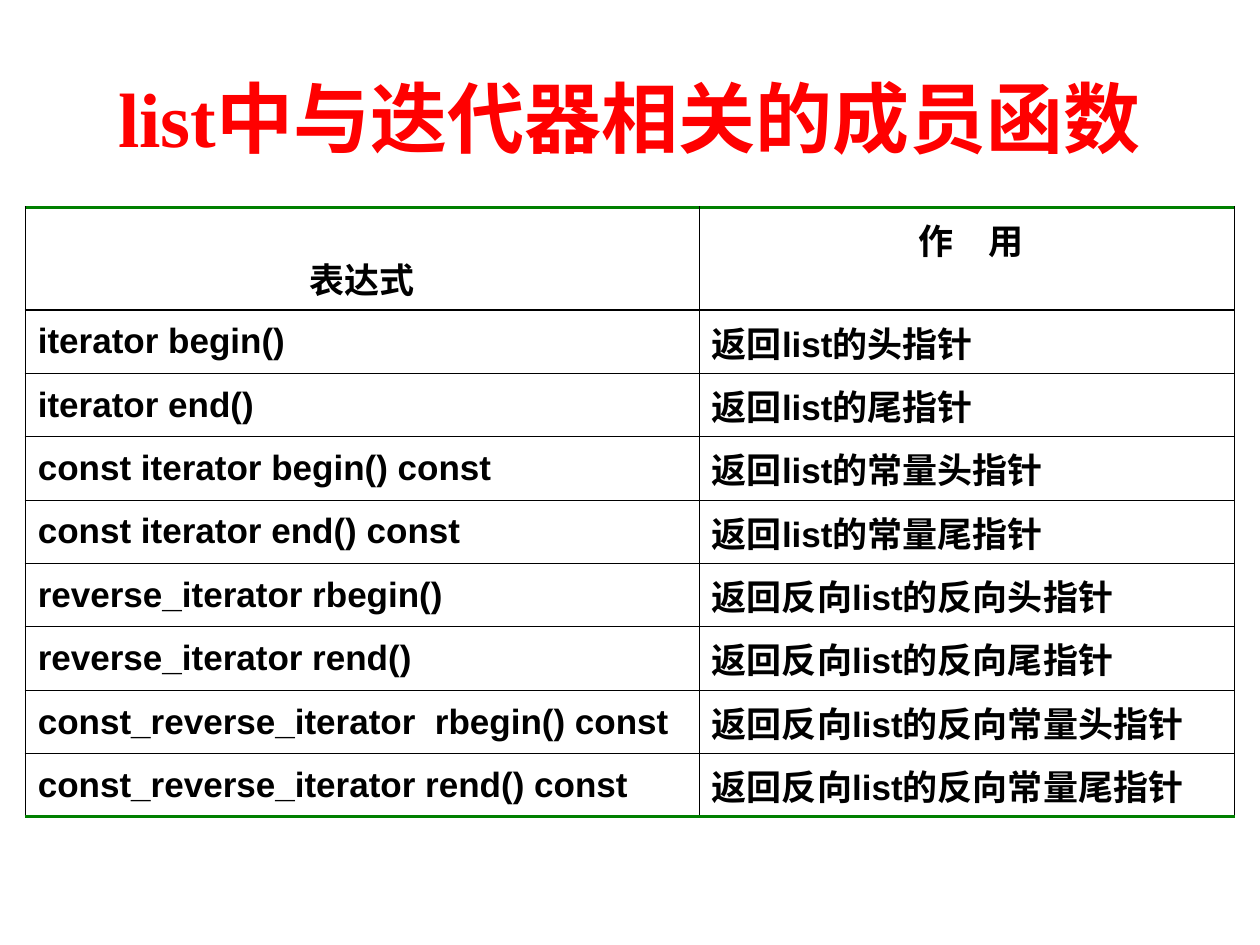
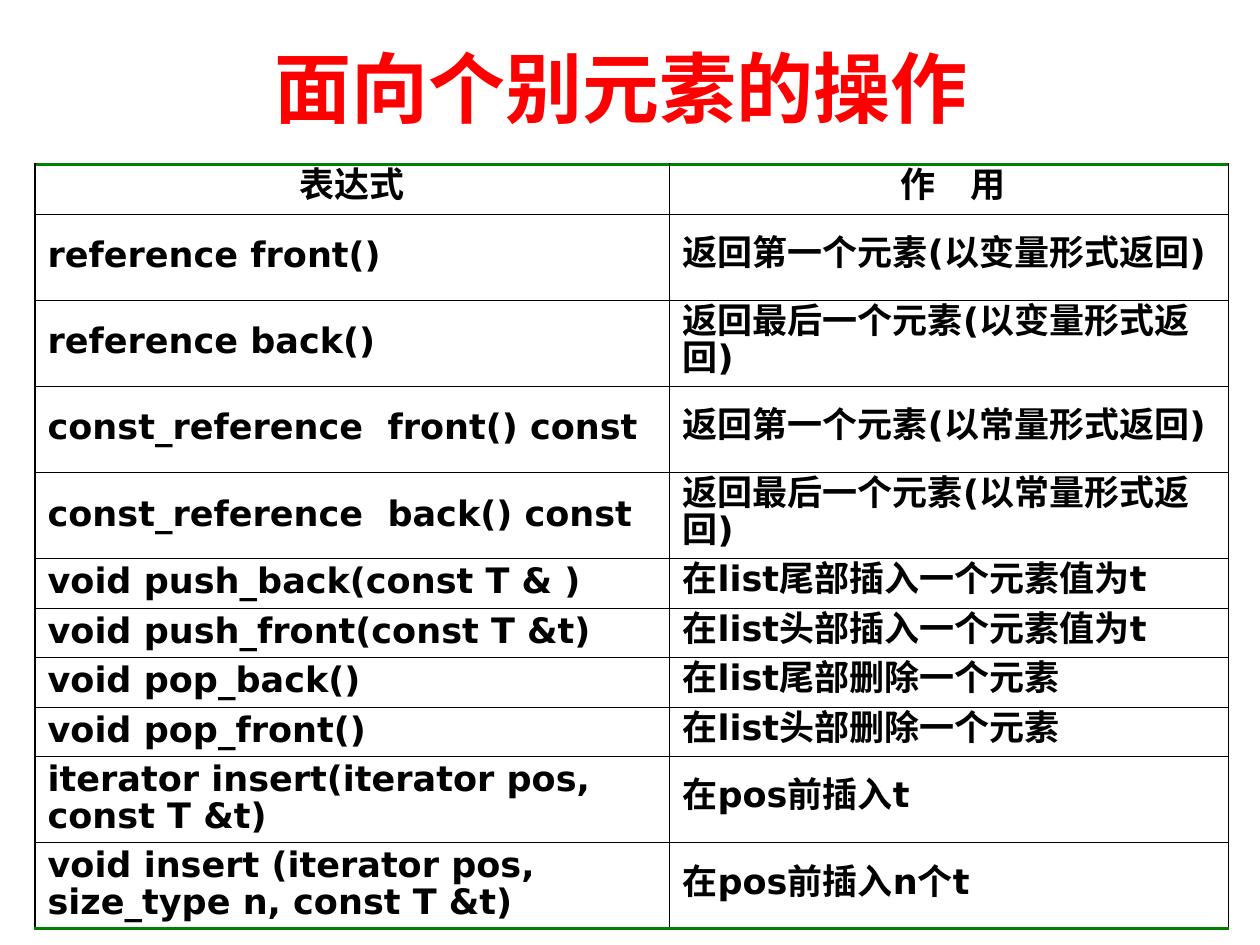
from lxml import etree
from pptx import Presentation
from pptx.dml.color import RGBColor
from pptx.enum.text import MSO_ANCHOR, PP_ALIGN
from pptx.oxml.ns import qn
from pptx.util import Pt

CENTER, LEFT = PP_ALIGN.CENTER, PP_ALIGN.LEFT
TOP, MIDDLE, BOTTOM = MSO_ANCHOR.TOP, MSO_ANCHOR.MIDDLE, MSO_ANCHOR.BOTTOM
BLACK, WHITE, RED, GREEN = "000000", "FFFFFF", "FF0000", "008000"
HEADER = ("表达式", " 作　用")
LINE_PITCH = 21
CELL_PADDING = 7.2

ITERATOR_ROWS = [
    ("iterator begin()", "返回list的头指针"),
    ("iterator end()", "返回list的尾指针"),
    ("const iterator begin() const", "返回list的常量头指针"),
    ("const iterator end() const", "返回list的常量尾指针"),
    ("reverse_iterator rbegin()", "返回反向list的反向头指针"),
    ("reverse_iterator rend()", "返回反向list的反向尾指针"),
    ("const_reverse_iterator  rbegin() const", "返回反向list的反向常量头指针"),
    ("const_reverse_iterator rend() const", "返回反向list的反向常量尾指针"),
]
ELEMENT_ROWS = [
    ("reference front()", "返回第一个元素(以变量形式返回)"),
    ("reference back()", "返回最后一个元素(以变量形式返回)"),
    ("const_reference  front() const", "返回第一个元素(以常量形式返回)"),
    ("const_reference  back() const", "返回最后一个元素(以常量形式返回)"),
    ("void push_back(const T & )", "在list尾部插入一个元素值为t"),
    ("void push_front(const T &t)", "在list头部插入一个元素值为t"),
    ("void pop_back()", "在list尾部删除一个元素"),
    ("void pop_front()", "在list头部删除一个元素"),
    ("iterator insert(iterator pos, const T &t)", "在pos前插入t"),
    ("void insert (iterator pos, size_type n, const T &t)", "在pos前插入n个t"),
]
ELEMENT_LINES = [1] + [2] * 4 + [1] * 4 + [2] * 2


def rgb(value):
    return RGBColor.from_string(value)


class Deck:
    def __init__(self):
        self.prs = Presentation()
        self.prs.slide_width, self.prs.slide_height = Pt(720), Pt(540)
        self.s = None

    def slide(self):
        self.s = self.prs.slides.add_slide(self.prs.slide_layouts[6])

    def put_text(self, tf, text, size, font, color, align, pitch=None):
        p = tf.paragraphs[0]
        p.alignment = align
        if pitch:
            p.line_spacing = Pt(pitch)
        r = p.add_run()
        r.text = text
        for name, value in {"size": Pt(size), "name": font, "bold": True}.items():
            setattr(r.font, name, value)
        r.font.color.rgb = rgb(color)

    def title(self, text, height):
        sp = self.s.shapes.add_textbox(Pt(36), Pt(21.6), Pt(648), Pt(height))
        tf = sp.text_frame
        tf.word_wrap = True
        tf.vertical_anchor = MIDDLE
        self.put_text(tf, text, 44, "Times New Roman", RED, CENTER)

    def borders(self, cell, top, bottom):
        """Draw thin sides; top and bottom are (colour, width) pairs."""
        side = (BLACK, 0.75)
        tc_pr = cell._tc.get_or_add_tcPr()
        for edge, (color, width) in zip("LRTB", (side, side, top, bottom)):
            ln = etree.SubElement(tc_pr, qn(f"a:ln{edge}"), w=str(Pt(width)))
            fill = etree.SubElement(ln, qn("a:solidFill"))
            etree.SubElement(fill, qn("a:srgbClr"), val=color)

    def table(self, left, top, widths, heights, body, font, anchors, pitch=None):
        """Place a ruled table; anchors holds the header cells' anchors."""
        rows = [HEADER] + body
        rules = [(GREEN, 2), (BLACK, 1)] + [(BLACK, 0.75)] * (len(body) - 1) + [(GREEN, 2)]
        table = self.s.shapes.add_table(len(rows), len(widths), Pt(left), Pt(top),
                                        Pt(sum(widths)), Pt(sum(heights))).table
        table.first_row = table.horz_banding = False
        for column, width in zip(table.columns, widths):
            column.width = Pt(width)
        for i, (texts, height) in enumerate(zip(rows, heights)):
            table.rows[i].height = Pt(height)
            for j, text in enumerate(texts):
                cell = table.cell(i, j)
                self.borders(cell, rules[i], rules[i + 1])
                cell.fill.solid()
                cell.fill.fore_color.rgb = rgb(WHITE)
                cell.vertical_anchor = MIDDLE if i else anchors[j]
                self.put_text(cell.text_frame, text, 20, font if i else "Arial",
                              BLACK, LEFT if i else CENTER, pitch)


def main():
    deck = Deck()
    deck.slide()
    deck.title("list中与迭代器相关的成员函数", 90)
    deck.table(14.4, 118.8, (385.2, 306), [58.4] + [36.2] * len(ITERATOR_ROWS),
               ITERATOR_ROWS, "Arial", (BOTTOM, TOP))

    deck.slide()
    deck.title("面向个别元素的操作 ", 55.4)
    heights = [n * LINE_PITCH + CELL_PADDING for n in ELEMENT_LINES]
    deck.table(20, 94.2, (362.8, 319), heights,
               ELEMENT_ROWS, "DejaVu Sans", (TOP, TOP), LINE_PITCH)
    deck.prs.save("out.pptx")


if __name__ == "__main__":
    main()
